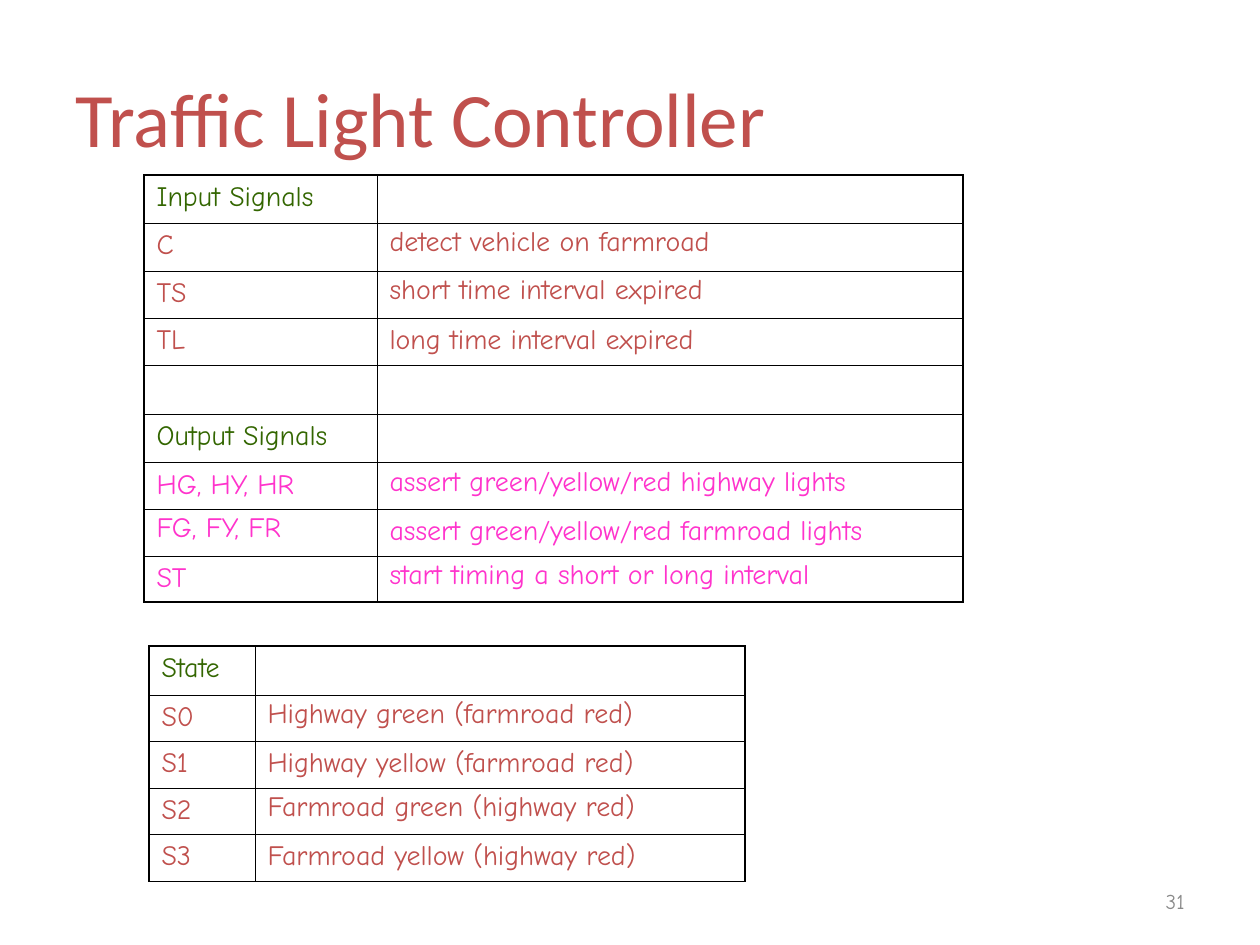
from lxml import etree
from pptx import Presentation
from pptx import util as u
from pptx.dml.color import RGBColor
from pptx.enum import text
from pptx.oxml import ns

HUES = {"red": "C0504D", "green": "336600", "pink": "FF33CC",
        "gray": "898989", "black": "000000"}
THICK, THIN = 1.08, 0.45
HAND = "Comic Neue"

SIGNALS = [
    ("green", "Input Signals", ""),
    ("red", "C", "detect vehicle on farmroad"),
    ("red", "TS", "short time interval expired"),
    ("red", "TL", "long time interval expired"),
    ("red", "", ""),
    ("green", "Output Signals", ""),
    ("pink", "HG, HY, HR", "assert green/yellow/red highway lights"),
    ("pink", "FG, FY, FR", "assert green/yellow/red farmroad lights"),
    ("pink", "ST", "start timing a short or long interval"),
]
STATES = [
    ("green", "State", ""),
    ("red", "S0", "Highway green (farmroad red)"),
    ("red", "S1", "Highway yellow (farmroad red)"),
    ("red", "S2", "Farmroad green (highway red)"),
    ("red", "S3", "Farmroad yellow (highway red)"),
]


def px(n):
    return u.Emu(round(n * 914400 / 126))


class Deck:
    def __init__(self):
        self.file = Presentation()
        self.file.slide_width, self.file.slide_height = px(1260), px(945)
        self.slide = self.file.slides.add_slide(self.file.slide_layouts[5])

    def style(self, font, size, hue, face):
        font.size, font.name = u.Pt(size), face
        font.color.rgb = RGBColor.from_string(HUES[hue])

    def label(self, para, words, size, hue, face=HAND):
        run = para.add_run()
        run.text = words
        self.style(run.font, size, hue, face)

    def title(self, words, x, y, w, h):
        box = self.slide.shapes.title
        box.left, box.top, box.width, box.height = map(px, (x, y, w, h))
        box.text_frame.vertical_anchor = text.MSO_ANCHOR.MIDDLE
        para = box.text_frame.paragraphs[0]
        para.alignment = text.PP_ALIGN.LEFT
        self.label(para, words, 44, "red", "Calibri")

    def number(self, words, x, y, w, h):
        frame = self.slide.shapes.add_textbox(*map(px, (x, y, w, h))).text_frame
        frame.word_wrap = True
        frame.vertical_anchor = text.MSO_ANCHOR.MIDDLE
        para = frame.paragraphs[0]
        para.alignment = text.PP_ALIGN.RIGHT
        self.label(para, words, 12, "gray")

    def border(self, cell, edges):
        props = cell._tc.get_or_add_tcPr()
        for spot, (side, outer) in enumerate(edges.items()):
            width = u.Pt(THICK if outer else THIN)
            line = etree.Element(ns.qn("a:ln" + side), w=str(int(width)))
            fill = etree.SubElement(line, ns.qn("a:solidFill"))
            etree.SubElement(fill, ns.qn("a:srgbClr"), val=HUES["black"])
            props.insert(spot, line)

    def table(self, data, x, y, cols, rows, tight):
        box = (x, y, sum(cols), sum(rows))
        grid = self.slide.shapes.add_table(len(rows), len(cols), *map(px, box)).table
        grid.first_row = grid.horz_banding = False
        for col, w in zip(grid.columns, cols):
            col.width = px(w)
        for r, (hue, *words) in enumerate(data):
            grid.rows[r].height = px(rows[r])
            for c, word in enumerate(words):
                cell = grid.cell(r, c)
                cell.fill.background()
                self.border(cell, {"L": c == 0, "R": c == len(cols) - 1,
                                   "T": r == 0, "B": r == len(rows) - 1})
                para = cell.text_frame.paragraphs[0]
                if (r, c) in tight:
                    para.line_spacing = 0.85
                if word:
                    self.label(para, word, 16, hue)
                else:
                    self.style(para.font, 16, hue, HAND)


def main():
    deck = Deck()
    deck.title("Traffic Light Controller", 63, 38, 1134, 158)
    deck.number("31", 903, 876, 294, 50)
    deck.table(SIGNALS, 144, 175, [233, 586],
               [48, 48, 47, 47, 49, 49, 46, 47, 46],
               {(1, 1), (2, 1), (6, 1), (7, 0), (8, 1)})
    deck.table(STATES, 149, 646, [106, 490],
               [49, 46, 47, 46, 47], {(1, 1), (3, 1)})
    deck.file.save("out.pptx")


if __name__ == "__main__":
    main()
